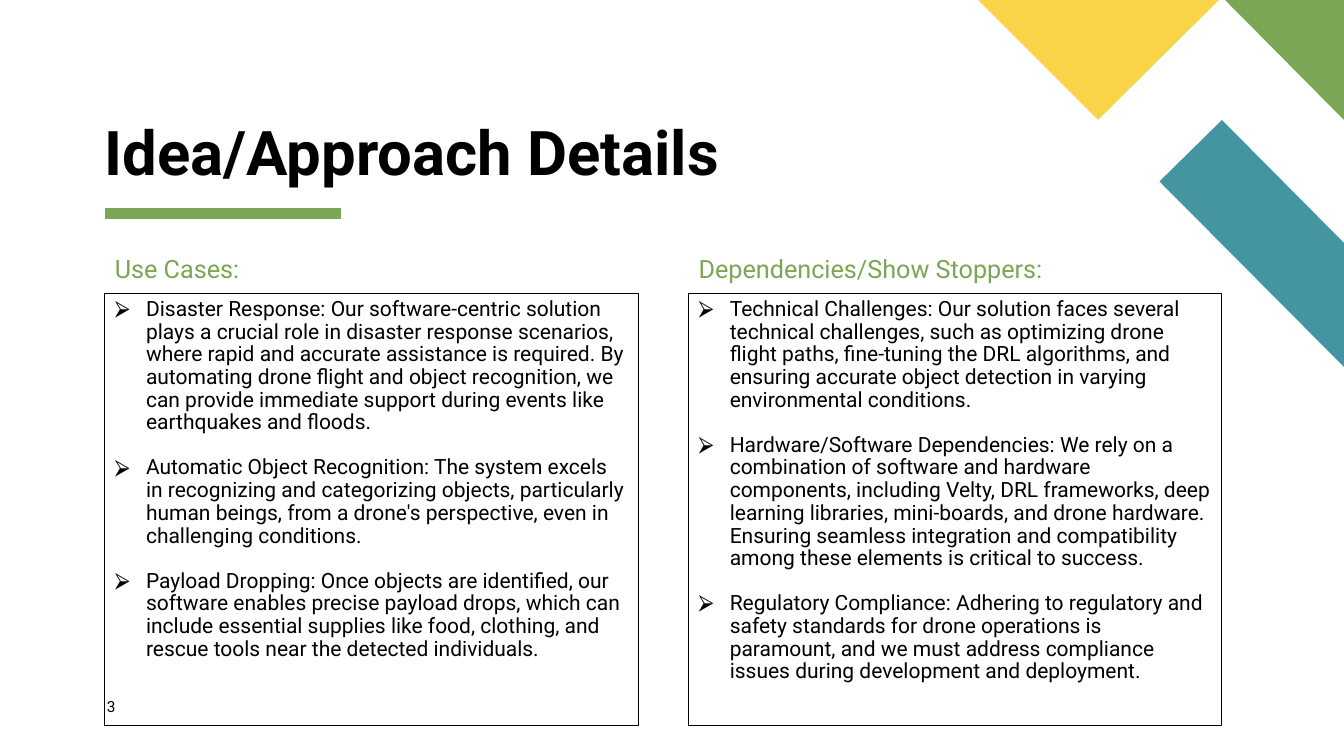
from lxml.etree import SubElement
from pptx import Presentation
from pptx.dml.color import RGBColor
from pptx.enum.shapes import MSO_CONNECTOR as Connector, MSO_SHAPE as Preset
from pptx.enum.text import MSO_ANCHOR as Anchor, PP_ALIGN as Align
from pptx.oxml.ns import qn
from pptx.util import Inches, Pt

FONT = "Roboto"
BLACK, GREEN, TEAL, YELLOW = "000000", "7CA655", "4495A2", "F9D448"
COLUMN_WIDTH = 5.29

# Corner decoration: colour and corner points in inches
CORNER_PIECES = [
    (TEAL, [(13.33, 3.64), (13.33, 2.41), (12.12, 1.19), (11.5, 1.8)]),
    (GREEN, [(13.33, 1.19), (13.33, 0), (12.15, 0)]),
    (YELLOW, [(9.7, 0), (10.89, 1.19), (12.09, 0)]),
]

# Columns: left edge, heading, bullet points
COLUMNS = [
    (1.04, "Use Cases:", [
        "Disaster Response: Our software-centric solution plays a crucial role in disaster "
        "response scenarios, where rapid and accurate assistance is required. By automating "
        "drone flight and object recognition, we can provide immediate support during events "
        "like earthquakes and floods.",
        "Automatic Object Recognition: The system excels in recognizing and categorizing "
        "objects, particularly human beings, from a drone's perspective, even in challenging "
        "conditions.",
        "Payload Dropping: Once objects are identified, our software enables precise payload "
        "drops, which can include essential supplies like food, clothing, and rescue tools "
        "near the detected individuals.",
    ]),
    (6.83, "Dependencies/Show Stoppers:", [
        "Technical Challenges: Our solution faces several technical challenges, such as "
        "optimizing drone flight paths, fine-tuning the DRL algorithms, and ensuring accurate "
        "object detection in varying environmental conditions.",
        "Hardware/Software Dependencies: We rely on a combination of software and hardware "
        "components, including Velty, DRL frameworks, deep learning libraries, mini-boards, "
        "and drone hardware. Ensuring seamless integration and compatibility among these "
        "elements is critical to success.",
        "Regulatory Compliance: Adhering to regulatory and safety standards for drone "
        "operations is paramount, and we must address compliance issues during development "
        "and deployment.",
    ]),
]


def color(value):
    return RGBColor.from_string(value)


def write(shape, texts, size, ink=BLACK, bold=False, anchor=Anchor.TOP,
          margins=(0.1, 0.05), line_spacing=0.9, gap=0, bullet=None):
    """Fill a shape with one paragraph per text."""
    frame = shape.text_frame
    frame.word_wrap = True
    frame.vertical_anchor = anchor
    frame.margin_left = frame.margin_right = Inches(margins[0])
    frame.margin_top = frame.margin_bottom = Inches(margins[1])
    for index, text in enumerate(texts):
        paragraph = frame.add_paragraph() if index else frame.paragraphs[0]
        paragraph.alignment = Align.LEFT
        paragraph.line_spacing = line_spacing
        paragraph.space_before = Pt(gap if index else 0)
        run = paragraph.add_run()
        run.text = text
        run.font.name = FONT
        run.font.size = Pt(size)
        run.font.bold = bold
        run.font.color.rgb = color(ink)
        if bullet:
            add_bullet(paragraph, bullet)


def add_bullet(paragraph, character, indent=0.31):
    properties = paragraph._p.get_or_add_pPr()
    properties.set("marL", str(Inches(indent)))
    properties.set("indent", str(-Inches(indent)))
    bullet_color = SubElement(properties, qn("a:buClr"))
    SubElement(bullet_color, qn("a:srgbClr")).set("val", BLACK)
    SubElement(properties, qn("a:buFont")).set("typeface", FONT)
    SubElement(properties, qn("a:buChar")).set("char", character)


def add_text(slide, text, left, top, width, height, **text_format):
    box = slide.shapes.add_textbox(Inches(left), Inches(top), Inches(width), Inches(height))
    write(box, [text], **text_format)


def add_corner_piece(slide, fill, points):
    start, *others = [(Inches(x), Inches(y)) for x, y in points]
    builder = slide.shapes.build_freeform(*start)
    builder.add_line_segments(others, close=True)
    shape = builder.convert_to_shape()
    shape.shadow.inherit = False
    shape.fill.solid()
    shape.fill.fore_color.rgb = color(fill)
    shape.line.fill.background()


def add_rule(slide, left, right, y):
    rule = slide.shapes.add_connector(
        Connector.STRAIGHT, Inches(left), Inches(y), Inches(right), Inches(y))
    rule.line.color.rgb = color(GREEN)
    rule.line.width = Pt(8)
    SubElement(rule._element.spPr, qn("a:effectLst"))


def add_column(slide, left, heading, points):
    add_text(slide, heading, left, 2.5, COLUMN_WIDTH, 0.35, size=18, ink=GREEN)
    box = slide.shapes.add_shape(
        Preset.RECTANGLE, Inches(left), Inches(2.91), Inches(COLUMN_WIDTH), Inches(4.29))
    box.shadow.inherit = False
    box.fill.background()
    box.line.color.rgb = color(BLACK)
    box.line.width = Pt(0.75)
    write(box, points, size=15, gap=16, bullet="⮚")


def main():
    presentation = Presentation()
    presentation.slide_width = Inches(13.33)
    presentation.slide_height = Inches(7.5)
    slide = presentation.slides.add_slide(presentation.slide_layouts[6])

    # Decoration
    add_rule(slide, 1.04, 3.38, 2.12)
    for fill, points in CORNER_PIECES:
        add_corner_piece(slide, fill, points)

    # Title and columns
    add_text(slide, "Idea/Approach Details", 1.04, 1.2, 6.32, 0.67, size=44, bold=True,
             anchor=Anchor.BOTTOM, margins=(0, 0))
    for left, heading, points in COLUMNS:
        add_column(slide, left, heading, points)

    # Slide number
    add_text(slide, "3", 1.06, 6.92, 0.57, 0.27, size=11, margins=(0, 0), line_spacing=1)

    presentation.save("out.pptx")


if __name__ == "__main__":
    main()
